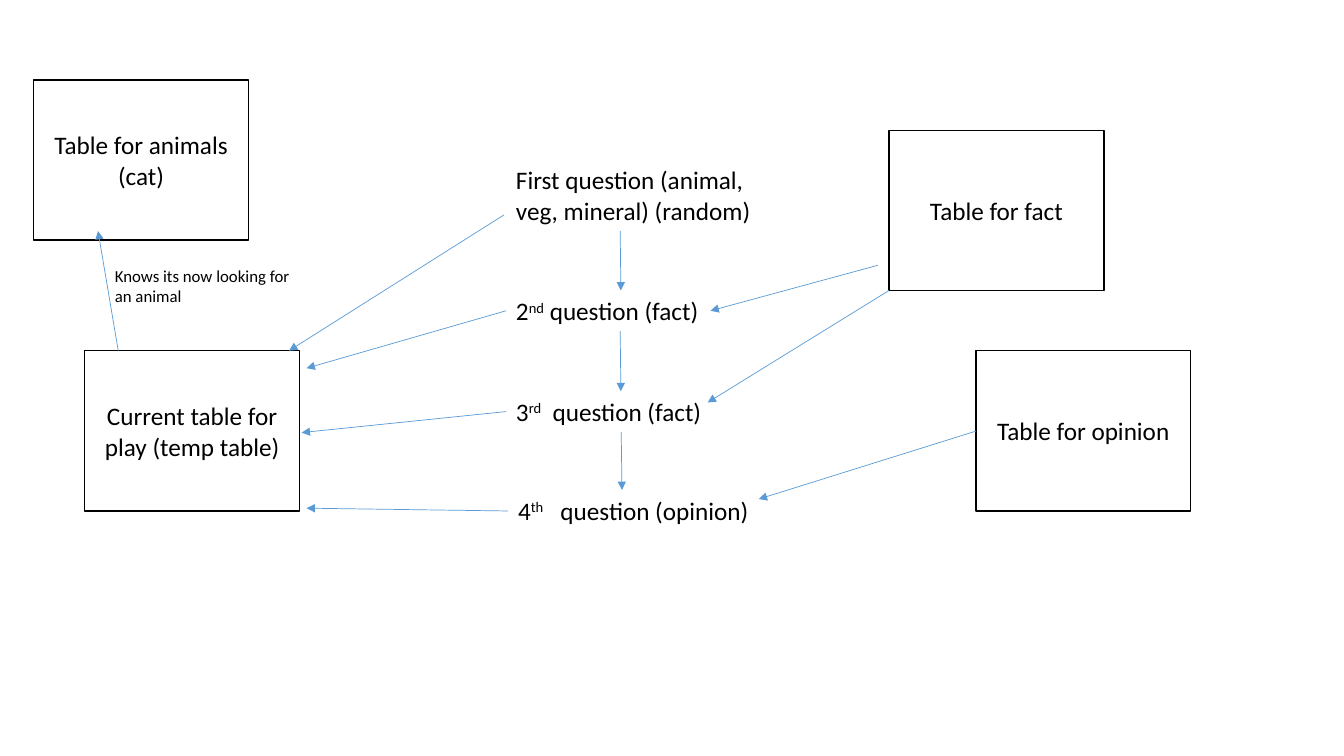
import pptx
import pptx.dml.color
import pptx.enum.shapes
import pptx.enum.text
import pptx.oxml
import pptx.oxml.ns
import pptx.util

Pt = pptx.util.Pt

# Content: tables as (text, left, top)
TABLES = [
    ("Table for animals (cat)", 24, 57),
    ("Current table for play (temp table)", 60.5, 250.5),
    ("Table for fact", 635, 93),
    ("Table for opinion", 697, 250.5),
]
# Questions as (text, superscript, rest, left, top, height)
QUESTIONS = [
    ("First question (animal, veg, mineral) (random)", "", "", 361.5, 114, 51),
    ("2", "nd", " question (fact)", 361.5, 207.5, 29),
    ("3", "rd", "  question (fact)", 361.5, 279.5, 29),
    ("4", "th", "   question (opinion)", 363, 350, 29),
]
NOTE = ("Knows its now looking for an animal", 75, 186.5, 143.5, 36)
# Arrows as (start x, start y, end x, end y)
ARROWS_TO_QUESTIONS = [
    (627, 189.5, 507.5, 222),
    (635, 207.5, 505.5, 287.5),
    (697, 308, 542, 356.5),
]
ARROWS_TO_CURRENT_TABLE = [
    (360, 153.5, 206.5, 250.5),
    (361.5, 222, 219, 263),
    (361.5, 294, 215.5, 309),
    (363, 365, 219, 363),
]
ARROW_TO_ANIMALS = (84.5, 250.5, 70, 165)

TABLE_WIDTH, TABLE_HEIGHT = 153.5, 114.5
QUESTION_WIDTH = 183
ARROW_OFFSET = 81.5
BLACK, WHITE, BLUE = "000000", "FFFFFF", "5B9BD5"


def color(value):
    return pptx.dml.color.RGBColor.from_string(value)


def add_run(paragraph, text, size, superscript=False):
    run = paragraph.add_run()
    run.text = text
    for name, value in {"name": "Calibri", "size": Pt(size)}.items():
        setattr(run.font, name, value)
    run.font.color.rgb = color(BLACK)
    if superscript:
        run.font._element.set("baseline", "30000")


def add_table_box(text, left, top):
    shape = slide.shapes.add_shape(
        pptx.enum.shapes.MSO_SHAPE.RECTANGLE,
        Pt(left), Pt(top), Pt(TABLE_WIDTH), Pt(TABLE_HEIGHT))
    shape.shadow.inherit = False
    shape.fill.solid()
    shape.fill.fore_color.rgb = color(WHITE)
    shape.line.color.rgb = color(BLACK)
    shape.line.width = Pt(1)
    shape.text_frame.vertical_anchor = pptx.enum.text.MSO_ANCHOR.MIDDLE
    paragraph = shape.text_frame.paragraphs[0]
    paragraph.alignment = pptx.enum.text.PP_ALIGN.CENTER
    add_run(paragraph, text, 18)


def add_label(parts, left, top, width, height, size):
    shape = slide.shapes.add_textbox(Pt(left), Pt(top), Pt(width), Pt(height))
    frame_format = {
        "word_wrap": True,
        "auto_size": pptx.enum.text.MSO_AUTO_SIZE.SHAPE_TO_FIT_TEXT,
    }
    for name, value in frame_format.items():
        setattr(shape.text_frame, name, value)
    for index, text in enumerate(parts):
        if text:
            add_run(shape.text_frame.paragraphs[0], text, size, index == 1)


def add_arrow(*ends):
    connector = slide.shapes.add_connector(
        pptx.enum.shapes.MSO_CONNECTOR.STRAIGHT, *map(Pt, ends))
    connector.line.color.rgb = color(BLUE)
    connector.line.width = Pt(0.5)
    properties = connector._element.spPr
    tail = pptx.oxml.parse_xml(
        f'<a:tailEnd {pptx.oxml.ns.nsdecls("a")} type="triangle"/>')
    properties.find(pptx.oxml.ns.qn("a:ln")).append(tail)
    properties.append(pptx.oxml.parse_xml(
        f'<a:effectLst {pptx.oxml.ns.nsdecls("a")}/>'))


presentation = pptx.Presentation()
presentation.slide_width, presentation.slide_height = Pt(960), Pt(540)
slide = presentation.slides.add_slide(presentation.slide_layouts[6])

# Tables
for table in TABLES:
    add_table_box(*table)

# Questions and note
for *parts, left, top, height in QUESTIONS:
    add_label(parts, left, top, QUESTION_WIDTH, height, 18)
note_text, *note_place = NOTE
add_label([note_text], *note_place, 12)

# Arrows from each question down to the next
for question, following in zip(QUESTIONS, QUESTIONS[1:]):
    top, height = question[-2:]
    x = (question[-3] + following[-3]) / 2 + ARROW_OFFSET
    add_arrow(x, top + height, x + 0.5, following[-2])

# Arrows between tables and questions
for arrow in ARROWS_TO_QUESTIONS + ARROWS_TO_CURRENT_TABLE + [ARROW_TO_ANIMALS]:
    add_arrow(*arrow)

presentation.save("out.pptx")
